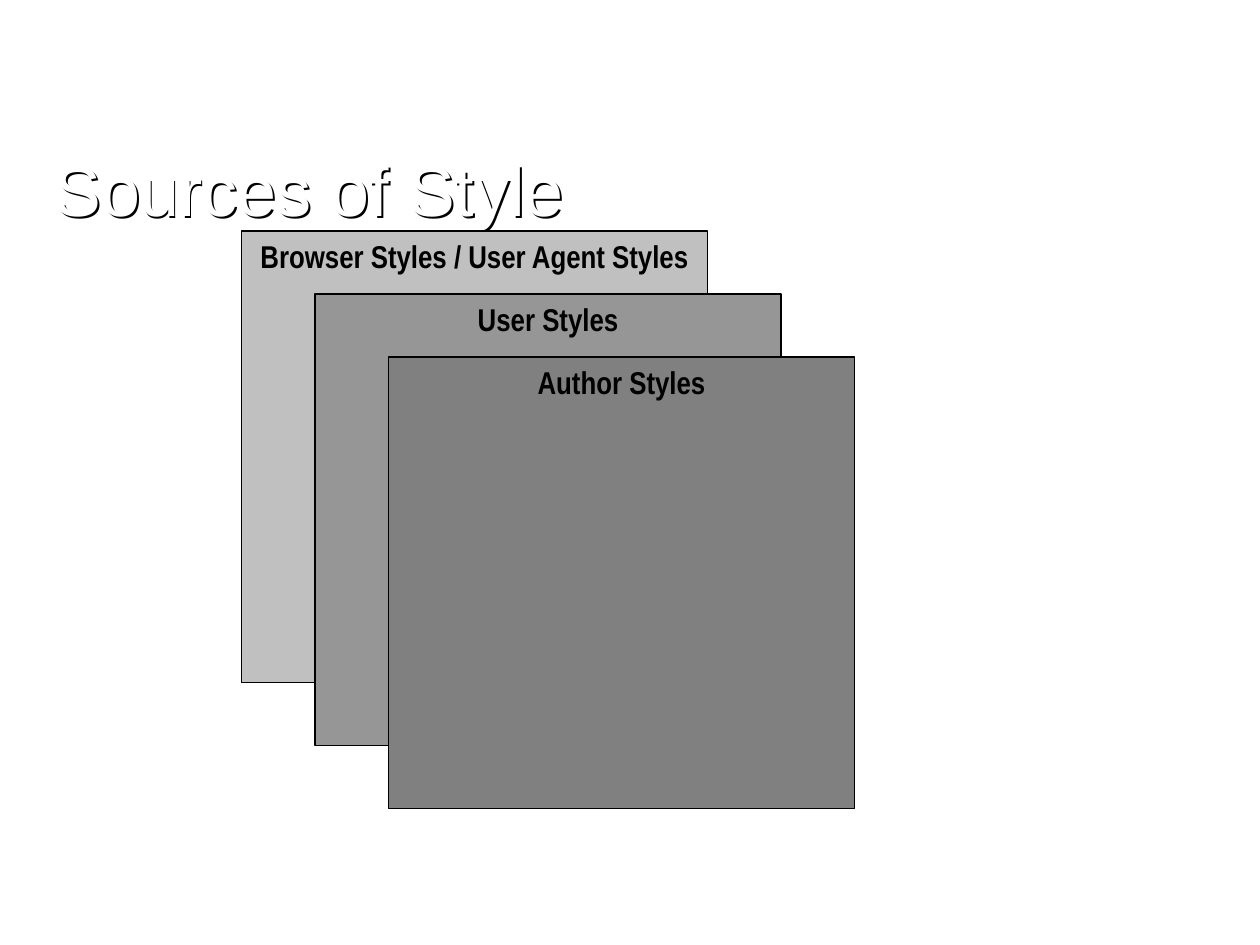
from dataclasses import dataclass

from lxml import etree
from pptx import Presentation
from pptx.dml.color import RGBColor
from pptx.enum import shapes, text
from pptx.oxml import ns
from pptx.util import Pt


@dataclass(frozen=True)
class Theme:
    head: str = "Arial"
    body: str = "Arial Narrow"
    big: float = 40
    small: float = 18
    white: str = "FFFFFF"
    black: str = "000000"


@dataclass(frozen=True)
class Card:
    label: str
    fill: str


THEME = Theme()
CARDS = [
    Card("Browser Styles / User Agent Styles", "C0C0C0"),
    Card("User Styles", "969696"),
    Card("Author Styles", "808080"),
]
LEFT, TOP, WIDE, HIGH = 138, 132, 266.4, 258
STEP_X, STEP_Y = 42, 36


def write(shape, words: str, *, font: str, size: float, color: str,
          bold: bool = False, align=text.PP_ALIGN.LEFT,
          anchor=text.MSO_ANCHOR.TOP, wrap: bool = False) -> None:
    frame = shape.text_frame
    frame.word_wrap = wrap
    frame.auto_size = text.MSO_AUTO_SIZE.NONE
    frame.vertical_anchor = anchor
    para = frame.paragraphs[0]
    para.alignment = align
    run = para.add_run()
    run.text = words
    run.font.size = Pt(size)
    run.font.bold = bold
    run.font.color.rgb = RGBColor.from_string(color)
    run.font.name = font


def shade(shape, color: str) -> None:
    """Leave the shape unfilled, so that its hard shadow falls from the letters."""
    shape.fill.background()
    shape.line.fill.background()
    shape.shadow.inherit = False
    effect = shape._element.spPr.find(ns.qn("a:effectLst"))
    drop = etree.SubElement(effect, ns.qn("a:outerShdw"), blurRad="0",
                            dist=str(Pt(1.5)), dir="2700000",
                            algn="ctr", rotWithShape="0")
    etree.SubElement(drop, ns.qn("a:srgbClr"), val=color)


def add_title(slide, words: str) -> None:
    title = slide.shapes.title
    title.left, title.top = Pt(24), Pt(90)
    title.width, title.height = Pt(678), Pt(36)
    shade(title, THEME.black)
    write(title, words, font=THEME.head, size=THEME.big,
          color=THEME.white, anchor=text.MSO_ANCHOR.MIDDLE, wrap=True)


def add_card(slide, card: Card, rank: int) -> None:
    box = slide.shapes.add_shape(
        shapes.MSO_SHAPE.RECTANGLE, Pt(LEFT + rank * STEP_X),
        Pt(TOP + rank * STEP_Y), Pt(WIDE), Pt(HIGH))
    box.shadow.inherit = False
    box.fill.solid()
    box.fill.fore_color.rgb = RGBColor.from_string(card.fill)
    box.line.color.rgb = RGBColor.from_string(THEME.black)
    box.line.width = Pt(0.75)
    write(box, card.label, font=THEME.body, size=THEME.small,
          color=THEME.black, bold=True, align=text.PP_ALIGN.CENTER)


def main() -> None:
    deck = Presentation()
    deck.slide_width, deck.slide_height = Pt(720), Pt(540)
    slide = deck.slides.add_slide(deck.slide_layouts[5])
    add_title(slide, "Sources of Style")
    for rank, card in enumerate(CARDS):
        add_card(slide, card, rank)
    deck.save("out.pptx")


if __name__ == "__main__":
    main()
